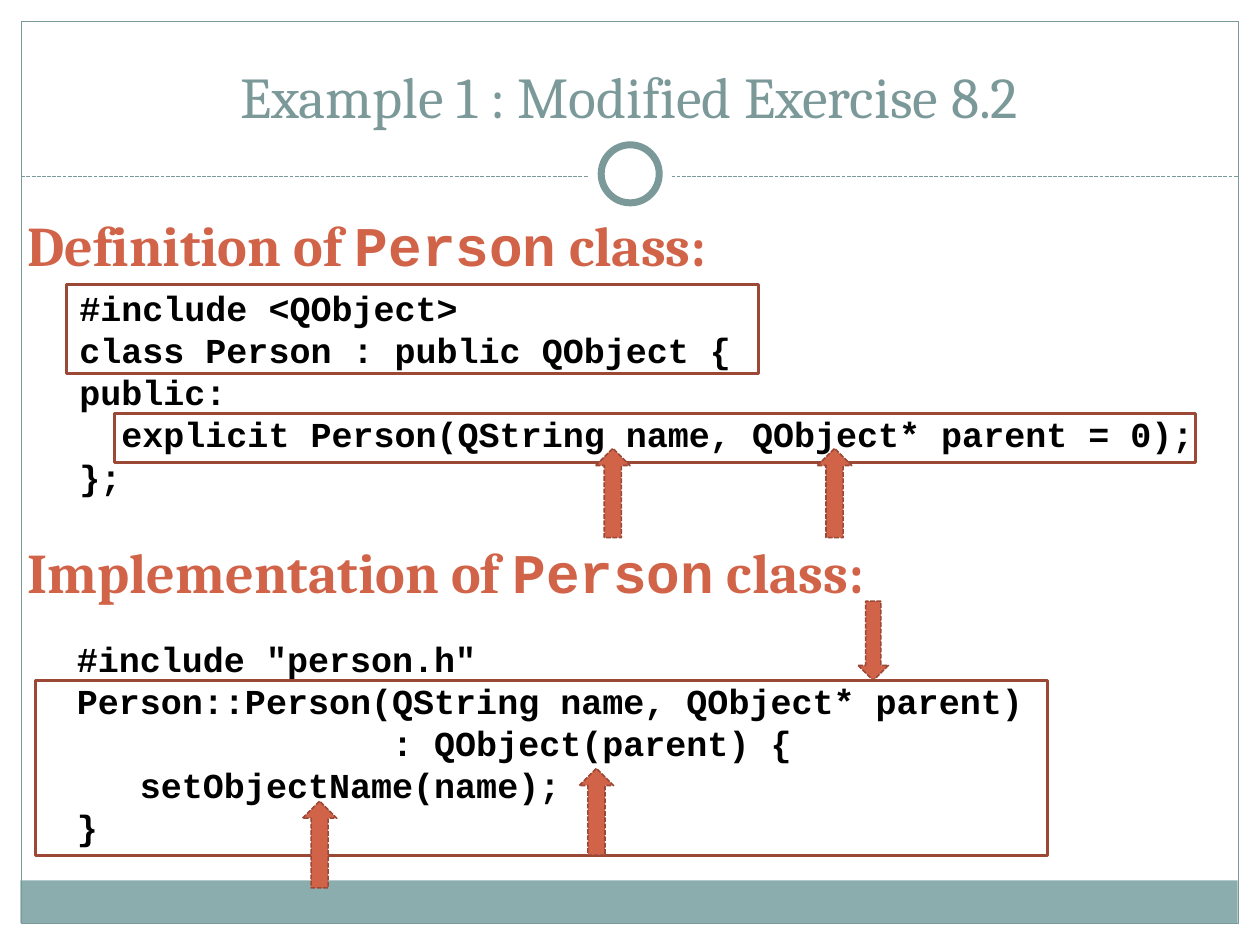
from lxml import etree
from pptx import Presentation
from pptx.dml.color import RGBColor
from pptx.enum.dml import MSO_LINE
from pptx.enum.shapes import MSO_CONNECTOR, MSO_SHAPE
from pptx.enum.text import MSO_ANCHOR, MSO_AUTO_SIZE, PP_ALIGN
from pptx.oxml.ns import qn
from pptx.util import Cm, Pt

RECTANGLE, OVAL = MSO_SHAPE.RECTANGLE, MSO_SHAPE.OVAL
UP_ARROW, DOWN_ARROW = MSO_SHAPE.UP_ARROW, MSO_SHAPE.DOWN_ARROW
STRAIGHT = MSO_CONNECTOR.STRAIGHT
SHORT_DASH = MSO_LINE.SQUARE_DOT
CENTER, JUSTIFY, LEFT = PP_ALIGN.CENTER, PP_ALIGN.JUSTIFY, PP_ALIGN.LEFT
BOTTOM = MSO_ANCHOR.BOTTOM
NO_FIT, GROW = MSO_AUTO_SIZE.NONE, MSO_AUTO_SIZE.SHAPE_TO_FIT_TEXT
TITLE_ONLY = 5

SERIF, MONO = "Cambria", "Courier New"
COLORS = {
    "white": "FFFFFF",
    "black": "000000",
    "teal": "7C999A",
    "band": "8CADAE",
    "accent": "D16349",
    "outline": "9B4936",
}

DEFINITION = [
    "#include <QObject>",
    "class Person : public QObject {",
    "public:",
    "  explicit Person(QString name, QObject* parent = 0);",
    "};",
]
IMPLEMENTATION = [
    '#include "person.h"',
    "Person::Person(QString name, QObject* parent)",
    "               : QObject(parent) {",
    "   setObjectName(name);",
    "}",
]
HIGHLIGHTS = [
    (1.35, 5.74, 13.94, 1.8),
    (2.31, 8.33, 21.79, 0.99),
    (0.71, 13.72, 20.4, 3.53),
]
ARROWS = [
    (UP_ARROW, 12.01, 9.04, 0.69, 1.8),
    (UP_ARROW, 16.48, 9.04, 0.69, 1.8),
    (UP_ARROW, 11.68, 15.49, 0.69, 1.75),
    (UP_ARROW, 6.1, 16.15, 0.69, 1.75),
    (DOWN_ARROW, 17.3, 12.12, 0.61, 1.6),
]


def color(name):
    """Return the named colour."""
    return RGBColor.from_string(COLORS[name])


def add_run(paragraph, text, font=SERIF, size=32, fill="accent", bold=True):
    """Add formatted text to a paragraph."""
    run = paragraph.add_run()
    run.text = text
    run.font.name = font
    run.font.size = Pt(size)
    run.font.bold = bold
    run.font.color.rgb = color(fill)


class SlideBuilder:
    """Hold the style and the current slide."""

    def __init__(self, presentation):
        """Start a slide that has only a title."""
        layout = presentation.slide_layouts[TITLE_ONLY]
        self.slide = presentation.slides.add_slide(layout)

    def style_line(self, line, fill, width, dash=None):
        """Format an outline or a connector line."""
        line.color.rgb = color(fill)
        line.width = Pt(width)
        if dash is not None:
            line.dash_style = dash

    def shape(self, kind, left, top, width, height, fill=None, line=None):
        """Add a preset shape; line is colour, width and optional dash."""
        box = Cm(left), Cm(top), Cm(width), Cm(height)
        shape = self.slide.shapes.add_shape(kind, *box)
        shape.shadow.inherit = False
        if fill:
            shape.fill.solid()
            shape.fill.fore_color.rgb = color(fill)
        else:
            shape.fill.background()
        if line:
            self.style_line(shape.line, *line)
        else:
            shape.line.fill.background()

    def divider(self, left, right, top):
        """Add the dashed line below the title."""
        connector = self.slide.shapes.add_connector(
            STRAIGHT, Cm(left), Cm(top), Cm(right), Cm(top))
        self.style_line(connector.line, "teal", 0.75, SHORT_DASH)
        properties = connector._element.spPr
        etree.SubElement(properties, qn("a:effectLst"))

    def title(self, text, left, top, width, height):
        """Place and fill the title placeholder."""
        title = self.slide.shapes.title
        title.left, title.top = Cm(left), Cm(top)
        title.width, title.height = Cm(width), Cm(height)
        frame = title.text_frame
        frame.auto_size = NO_FIT
        frame.vertical_anchor = BOTTOM
        paragraph = frame.paragraphs[0]
        paragraph.alignment = CENTER
        add_run(paragraph, text, size=33, fill="teal", bold=False)

    def text_frame(self, left, top, width, height):
        """Add a wrapping text box and return its frame."""
        box = self.slide.shapes.add_textbox(
            Cm(left), Cm(top), Cm(width), Cm(height))
        frame = box.text_frame
        frame.word_wrap = True
        frame.auto_size = GROW
        return frame

    def heading(self, subject, top, width):
        """Add a section heading about the Person class."""
        paragraph = self.text_frame(0.3, top, width, 1.63).paragraphs[0]
        paragraph.alignment = JUSTIFY
        add_run(paragraph, f"{subject} of ")
        add_run(paragraph, "Person", font=MONO)
        add_run(paragraph, " class:")

    def code(self, lines, left, top, width):
        """Add a code listing, one paragraph a line."""
        frame = self.text_frame(left, top, width, 4.52)
        for index, line in enumerate(lines):
            paragraph = frame.add_paragraph() if index else frame.paragraphs[0]
            paragraph.alignment = LEFT
            add_run(paragraph, line, font=MONO, size=20, fill="black")


def main():
    """Build and save the presentation."""
    presentation = Presentation()
    presentation.slide_width, presentation.slide_height = Cm(25.4), Cm(19.05)
    builder = SlideBuilder(presentation)

    builder.shape(RECTANGLE, 0.41, 17.75, 24.54, 0.86, fill="band")
    builder.shape(RECTANGLE, 0.43, 0.43, 24.54, 18.19, line=("teal", 0.75))
    builder.divider(0.43, 24.97, 3.56)
    builder.shape(OVAL, 11.85, 2.67, 1.7, 1.7, fill="white")
    builder.shape(OVAL, 12.12, 2.92, 1.17, 1.17, fill="white", line=("teal", 4))

    builder.title("Example 1 : Modified Exercise 8.2", 0.84, 0.64, 23.7, 2.11)
    builder.code(DEFINITION, 1.35, 5.66, 23.14)
    builder.heading("Definition", 4.11, 16.51)
    builder.heading("Implementation", 10.72, 21.92)
    builder.code(IMPLEMENTATION, 1.3, 12.73, 23.8)

    for box in HIGHLIGHTS:
        builder.shape(RECTANGLE, *box, line=("outline", 1.75))
    for arrow in ARROWS:
        builder.shape(*arrow, fill="accent", line=("outline", 0.9, SHORT_DASH))

    presentation.save("out.pptx")


if __name__ == "__main__":
    main()
